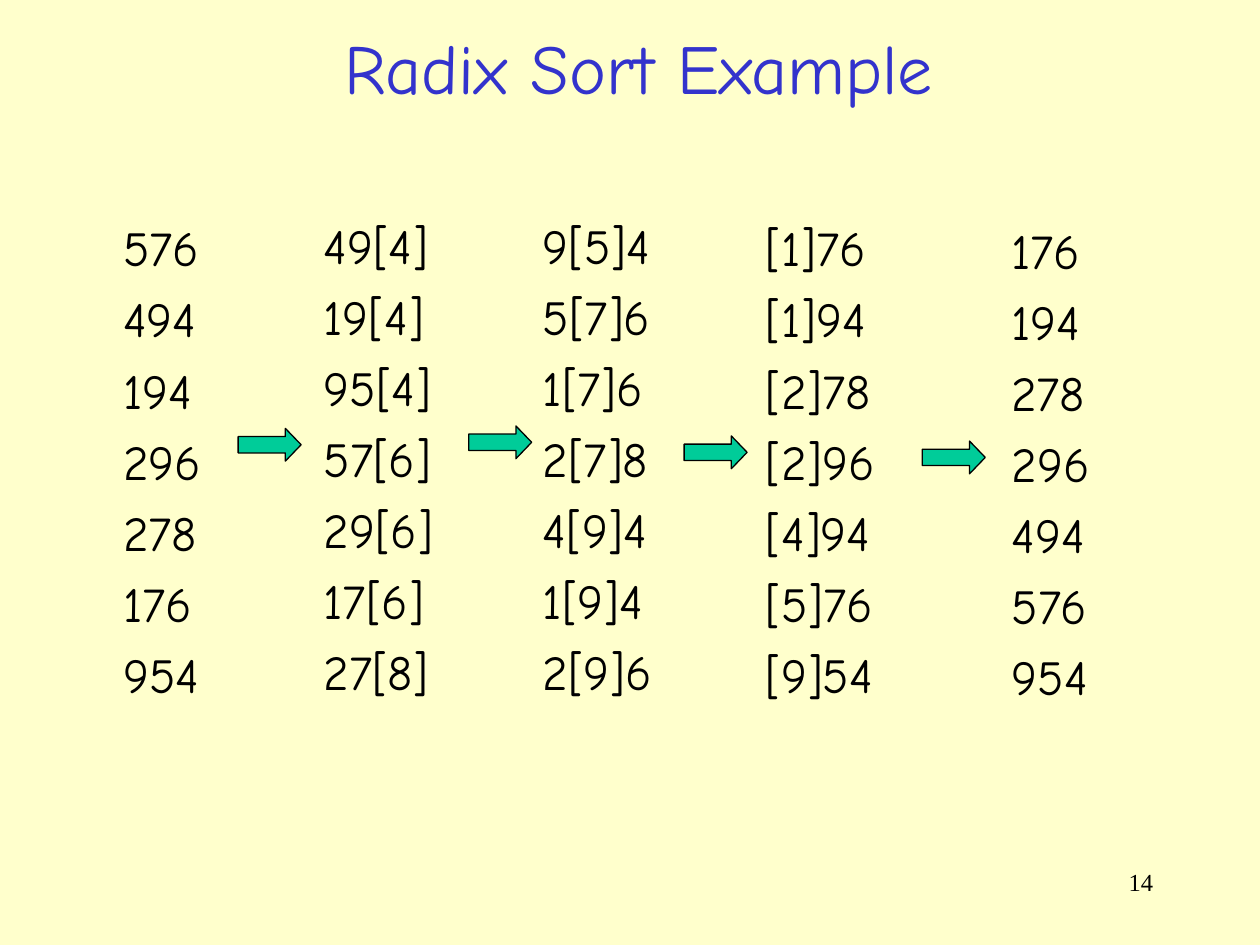
from pptx import Presentation
from pptx.dml.color import RGBColor
from pptx.enum.shapes import MSO_SHAPE as Shape
from pptx.enum.text import MSO_ANCHOR as Anchor, PP_ALIGN as Align
from pptx.util import Inches, Pt

WIDTH, HEIGHT = Inches(10), Inches(7.5)
CREAM = RGBColor(0xFF, 0xFF, 0xCC)
BLUE = RGBColor(0x33, 0x33, 0xCC)
GREEN = RGBColor(0x00, 0xCC, 0x99)
BLACK = RGBColor(0x00, 0x00, 0x00)
HEADING_FONT, NUMBER_FONT = "Comic Neue", "Times New Roman"
HANG = Inches(0.58)

PASSES = [
    (8.8, 22.4, 9.7, "576 494 194 296 278 176 954"),
    (24.7, 22.13, 12.4, "49[4] 19[4] 95[4] 57[6] 29[6] 17[6] 27[8]"),
    (42.1, 22.13, 13, "9[5]4 5[7]6 1[7]6 2[7]8 4[9]4 1[9]4 2[9]6"),
    (59.8, 22.4, 12.2, "[1]76 [1]94 [2]78 [2]96 [4]94 [5]76 [9]54"),
    (79.3, 22.67, 9.7, "176 194 278 296 494 576 954"),
]
ARROWS = [(18.9, 45.33), (37.2, 45.07), (54.3, 46.13), (73.2, 46.67)]


def place(left, top, width, height):
    """Turn percentages of the slide's size into lengths."""
    return (int(WIDTH * left / 100), int(HEIGHT * top / 100),
            int(WIDTH * width / 100), int(HEIGHT * height / 100))


def add_text(slide, box, lines, size, font, color, align=Align.LEFT, anchor=Anchor.TOP):
    """Add a text box with one paragraph per line and return its paragraphs."""
    frame = slide.shapes.add_textbox(*place(*box)).text_frame
    frame.word_wrap = True
    frame.vertical_anchor = anchor
    for index, line in enumerate(lines):
        paragraph = frame.paragraphs[0] if index == 0 else frame.add_paragraph()
        paragraph.alignment = align
        run = paragraph.add_run()
        run.text = line
        run.font.size = Pt(size)
        run.font.name = font
        run.font.color.rgb = color
    return frame.paragraphs


def add_pass(slide, left, top, width, numbers):
    """Add one column of numbers with hanging indents."""
    paragraphs = add_text(slide, (left, top, width, 65.73), numbers.split(),
                          28, HEADING_FONT, BLACK)
    for index, paragraph in enumerate(paragraphs):
        properties = paragraph._p.get_or_add_pPr()
        properties.set("marL", str(HANG))
        properties.set("indent", str(-HANG))
        if index:
            paragraph.space_before = Pt(7)


def add_arrow(slide, left, top):
    """Add a green block arrow between two columns."""
    shape = slide.shapes.add_shape(Shape.RIGHT_ARROW, *place(left, top, 5, 3.47))
    shape.adjustments[1] = 0.48
    shape.shadow.inherit = False
    shape.fill.solid()
    shape.fill.fore_color.rgb = GREEN
    shape.line.color.rgb = BLACK
    shape.line.width = Pt(0.75)


def main():
    """Build the radix sort slide and save it."""
    presentation = Presentation()
    presentation.slide_width, presentation.slide_height = WIDTH, HEIGHT
    slide = presentation.slides.add_slide(presentation.slide_layouts[6])
    slide.background.fill.solid()
    slide.background.fill.fore_color.rgb = CREAM
    add_text(slide, (3, 2, 95.4, 10.13), ["Radix Sort Example"], 40,
             HEADING_FONT, BLUE, Align.CENTER, Anchor.MIDDLE)
    for column in PASSES:
        add_pass(slide, *column)
    for arrow in ARROWS:
        add_arrow(slide, *arrow)
    add_text(slide, (71.7, 91.07, 20.8, 6.67), ["14"], 14,
             NUMBER_FONT, BLACK, Align.RIGHT)
    presentation.save("out.pptx")


if __name__ == "__main__":
    main()
